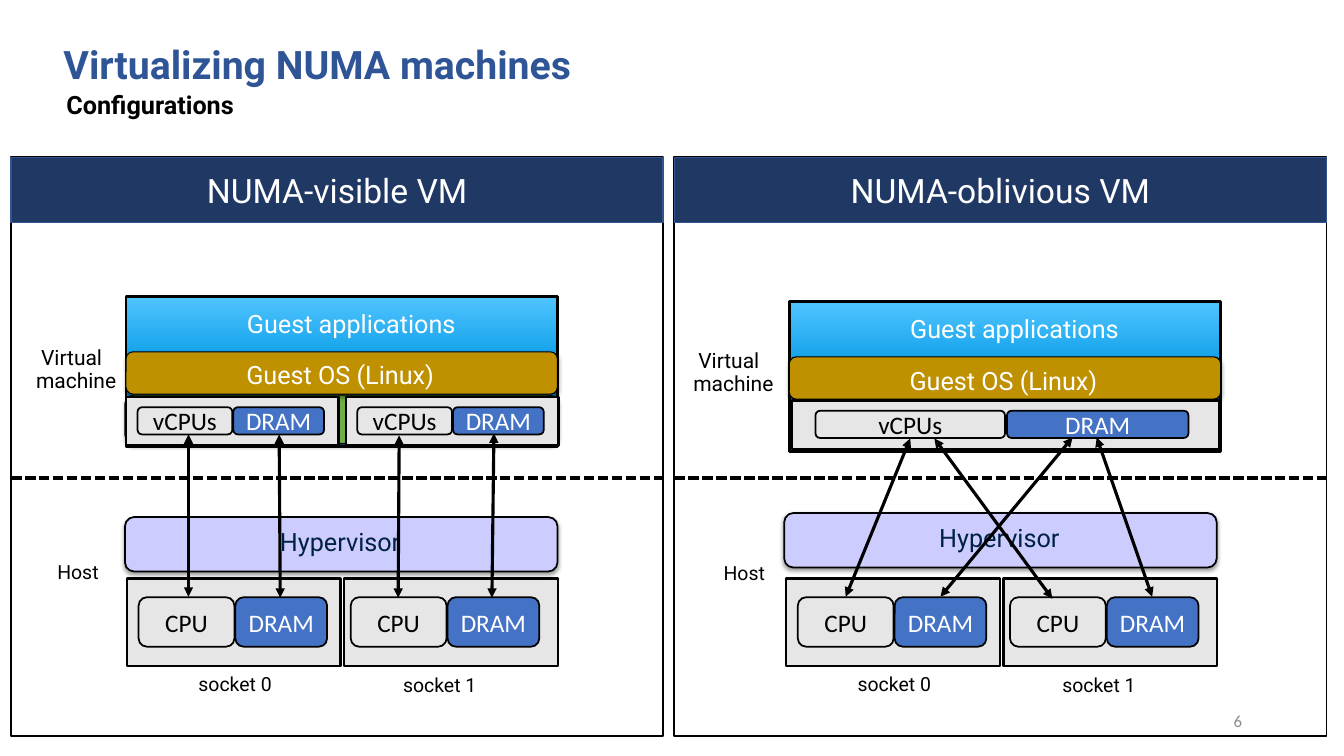
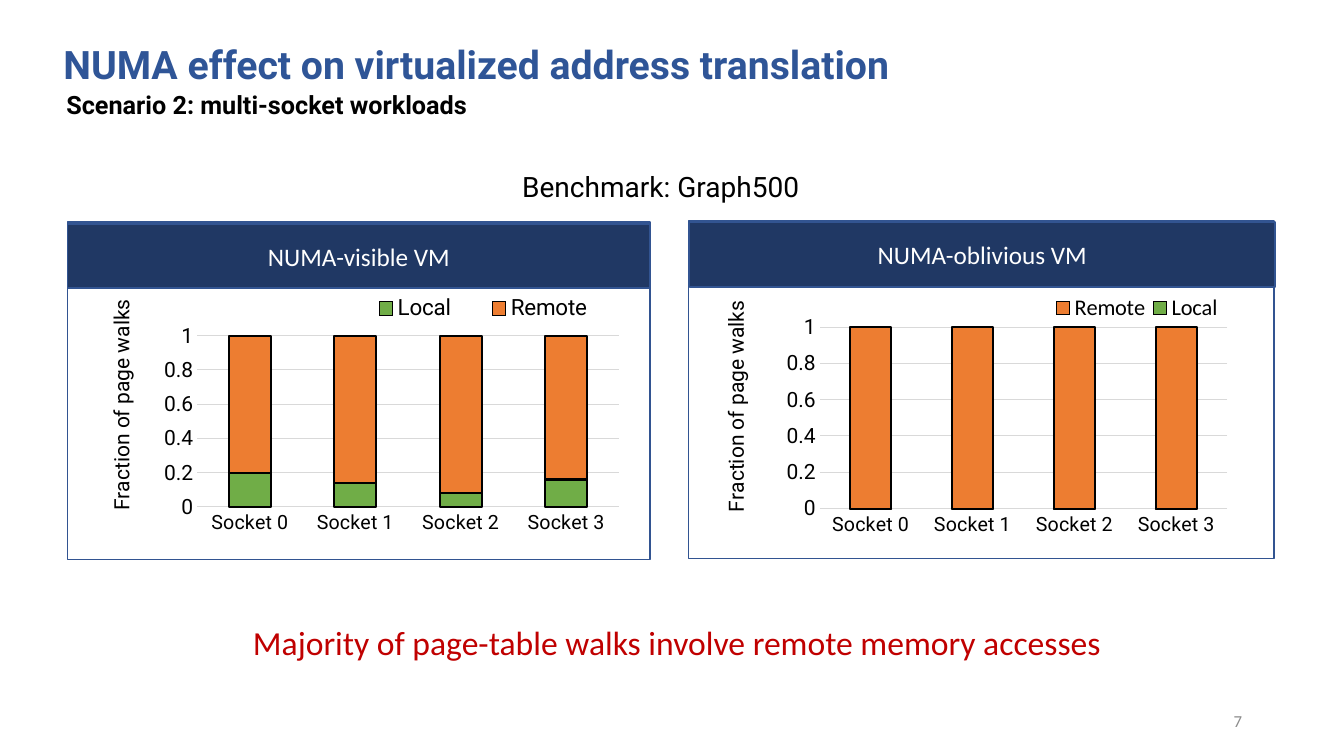
from dataclasses import dataclass
from typing import Optional

from lxml import etree
from pptx import Presentation
from pptx import util as u
from pptx.chart.data import CategoryChartData
from pptx.dml.color import RGBColor
from pptx.enum import chart as ch, dml, shapes, text
from pptx.oxml import parse_xml
from pptx.oxml.ns import nsdecls, qn

# Grid: cells of a tenth of an inch
CELL = u.Inches(0.1)
COLS, ROWS = 133.33, 75

BLACK = RGBColor(0x00, 0x00, 0x00)
WHITE = RGBColor(0xFF, 0xFF, 0xFF)
TITLE_BLUE = RGBColor(0x2F, 0x55, 0x97)
NAVY = RGBColor(0x20, 0x38, 0x64)
EDGE_BLUE = RGBColor(0x32, 0x54, 0x91)
BLUE = RGBColor(0x44, 0x72, 0xC4)
LIGHT_GREY = RGBColor(0xE7, 0xE6, 0xE6)
GRID_GREY = RGBColor(0xD9, 0xD9, 0xD9)
NUMBER_GREY = RGBColor(0x8C, 0x8C, 0x8C)
GREEN = RGBColor(0x70, 0xAD, 0x47)
ORANGE = RGBColor(0xED, 0x7D, 0x31)
GOLD = RGBColor(0xBF, 0x90, 0x00)
LILAC = RGBColor(0xCC, 0xCC, 0xFF)
INK = RGBColor(0x00, 0x21, 0x42)
RED = RGBColor(0xC0, 0x00, 0x00)

RECT = shapes.MSO_SHAPE.RECTANGLE
ROUND = shapes.MSO_SHAPE.ROUNDED_RECTANGLE
LEFT, CENTER, RIGHT = text.PP_ALIGN.LEFT, text.PP_ALIGN.CENTER, text.PP_ALIGN.RIGHT
TOP, MIDDLE, BOTTOM = (text.MSO_ANCHOR.TOP, text.MSO_ANCHOR.MIDDLE,
                       text.MSO_ANCHOR.BOTTOM)

Box = tuple[float, float, float, float]
Segment = tuple[float, float, float, float]


@dataclass(frozen=True)
class Style:
    size: float
    color: RGBColor = BLACK
    font: str = "Roboto"
    bold: bool = False
    align: text.PP_ALIGN = LEFT
    anchor: text.MSO_ANCHOR = TOP
    spacing: float = 1.0
    indent: float = 0


@dataclass(frozen=True)
class VmPanel:
    title: str
    left: float
    guest_top: float
    node_top: float
    node_lefts: tuple[float, ...]
    node_scale: int
    node_width: float
    node_inset: float
    host_left: float
    hypervisor_top: float
    vm_label: tuple[float, float]
    host_label: tuple[float, float]
    arrows: tuple[Segment, ...]


@dataclass(frozen=True)
class ChartPanel:
    title: str
    frame: Box
    header: Box
    chart: Box
    local: tuple[float, ...]
    plot: Box
    legend: Box
    legend_pos: ch.XL_LEGEND_POSITION
    legend_font: str
    axis_title: tuple[float, float]


TITLE = Style(28, TITLE_BLUE, bold=True, anchor=BOTTOM, spacing=0.9)
SUBTITLE = Style(18, bold=True, spacing=0.9)
NUMBER = Style(12, NUMBER_GREY, "Calibri", align=RIGHT, anchor=MIDDLE)
HEADER = Style(24, WHITE, align=CENTER, anchor=MIDDLE)
CHART_HEADER = Style(18, WHITE, "Calibri", align=CENTER, anchor=MIDDLE)
LAYER = Style(18, WHITE, align=CENTER)
HYPERVISOR = Style(18, INK, align=CENTER)
CPU = Style(18, BLACK, "Calibri", align=CENTER, anchor=MIDDLE)
DRAM = Style(18, WHITE, "Calibri", align=CENTER, anchor=MIDDLE)
SMALL = Style(13.9, spacing=0.7)
VM_LABEL = Style(15, spacing=0.9, indent=0.5)


def cells(*values: float) -> list[int]:
    return [int(v * CELL) for v in values]


# Text and shapes
def write(tf, words: str, st: Style, wrap: bool = True) -> None:
    tf.word_wrap = wrap
    tf.vertical_anchor = st.anchor
    p = tf.paragraphs[0]
    p.text = words
    p.alignment = st.align
    p.line_spacing = st.spacing
    if st.indent:
        p._p.get_or_add_pPr().set("indent", str(int(st.indent * CELL)))
    style_font(p.font, st)


def style_font(font, st: Style) -> None:
    font.size, font.name, font.bold = u.Pt(st.size), st.font, st.bold
    font.color.rgb = st.color


def label(s, words: str, box: Box, st: Style, wrap: bool = True):
    sp = s.shapes.add_textbox(*cells(*box))
    write(sp.text_frame, words, st, wrap)
    return sp


def block(s, box: Box, fill: Optional[RGBColor], weight: float, kind=RECT,
          edge: RGBColor = BLACK, words: str = "", st: Style = CPU,
          shadow: bool = False):
    sp = s.shapes.add_shape(kind, *cells(*box))
    sp.shadow.inherit = False
    if fill is None:
        sp.fill.background()
    else:
        sp.fill.solid()
        sp.fill.fore_color.rgb = fill
    sp.line.color.rgb = edge
    sp.line.width = u.Pt(weight)
    if words:
        write(sp.text_frame, words, st)
    if shadow:
        sp._element.spPr.find(qn("a:effectLst")).append(parse_xml(
            f'<a:outerShdw {nsdecls("a")} blurRad="39370" dist="20320" dir="5400000">'
            '<a:srgbClr val="000000"><a:alpha val="38000"/></a:srgbClr></a:outerShdw>'))
    return sp


def sky_gradient(sp) -> None:
    stops = "".join(f'<a:gs pos="{pos}000"><a:srgbClr val="{c}"/></a:gs>'
                    for pos, c in ((0, "006192"), (48, "0097E3"), (100, "50C4FF")))
    solid = sp._element.spPr.find(qn("a:solidFill"))
    solid.getparent().replace(solid, parse_xml(
        f'<a:gradFill {nsdecls("a")}><a:gsLst>{stops}</a:gsLst>'
        '<a:lin ang="16200000" scaled="0"/></a:gradFill>'))


def line(s, ends: Segment, weight: float, arrows: bool = False) -> None:
    cx = s.shapes.add_connector(shapes.MSO_CONNECTOR.STRAIGHT, *cells(*ends))
    cx.line.color.rgb = BLACK
    cx.line.width = u.Pt(weight)
    if arrows:
        ln = cx.line._get_or_add_ln()
        for tag in ("a:headEnd", "a:tailEnd"):
            etree.SubElement(ln, qn(tag)).set("type", "triangle")
    else:
        cx.line.dash_style = dml.MSO_LINE.SQUARE_DOT
    etree.SubElement(cx._element.spPr, qn("a:effectLst"))


def new_slide(prs, title: str, subtitle: str, number: int):
    s = prs.slides.add_slide(prs.slide_layouts[6])
    tf = label(s, title, (6.3, 4.5, 120.3, 4.2), TITLE, wrap=False).text_frame
    tf.margin_left = tf.margin_right = tf.margin_top = tf.margin_bottom = 0
    label(s, subtitle, (5.6, 8.7, 70.8, 5), SUBTITLE)
    label(s, str(number), (94.2, 69.5, 30, 4), NUMBER)
    return s


# Virtual machine diagrams
def cpu_dram(s, name: str, x: float, y: float, height: float, cpu: float,
             dram: float, gap: float) -> None:
    block(s, (x + cpu + gap, y, dram, height), BLUE, 1.25, ROUND, words="DRAM", st=DRAM)
    block(s, (x, y, cpu, height), LIGHT_GREY, 1.25, ROUND, words=name)


def vm_panel(s, v: VmPanel) -> None:
    block(s, (v.left, 15.6, 64.7, 57.4), None, 1.25)
    block(s, (v.left, 15.6, 64.7, 6.5), NAVY, 1, edge=EDGE_BLUE, words=v.title, st=HEADER)

    # Guest layers
    x, y = v.left + 11.4, v.guest_top
    sky_gradient(block(s, (x, y, 42.8, 14.9), BLUE, 1.75))
    if len(v.node_lefts) > 1:
        block(s, (x - 0.1, y + 9.8, 42.9, 4.8), GREEN, 0.75, ROUND, shadow=True)
    block(s, (x, y + 5.5, 42.8, 4.2), GOLD, 0.75, ROUND, shadow=True)
    label(s, "Guest OS (Linux)", (x + 7.4, y + 5.8, 27.7, 3.2), LAYER, wrap=False)
    label(s, "Guest applications", (x + 8.5, y + 0.7, 27.7, 4.2), LAYER, wrap=False)
    for node in v.node_lefts:
        block(s, (node, v.node_top, v.node_width, 4.8), LIGHT_GREY, 1.75)
        cpu_dram(s, "vCPUs", node + v.node_inset, v.node_top + 1, 2.7,
                 9.4 * v.node_scale, 9 * v.node_scale, 0.1 * v.node_scale)

    # Host layers
    x, y = v.host_left, v.hypervisor_top
    block(s, (x - 0.2, y, 42.9, 5.4), LILAC, 1.25, ROUND, shadow=True)
    label(s, "Hypervisor", (x + 7.3, y + 0.4, 27.7, 3.6), HYPERVISOR, wrap=False)
    for i in range(2):
        block(s, (x + 21.55 * i, 57.4, 21.2, 8.7), LIGHT_GREY, 1.75)
        cpu_dram(s, "CPU", x + 1.15 + 21.05 * i, 59.25, 4.9, 9.5, 9.1, 0.1)
        label(s, f"socket {i}", (x + 6.1 + 20.3 * i, 66.8 + 0.1 * i, 11.4, 2.8), SMALL)

    label(s, "Host", (*v.host_label, 11.4, 2.8), SMALL)
    label(s, "Virtual machine", (*v.vm_label, 14.4, 10.6), VM_LABEL)
    line(s, (v.left, 47.4, v.left + 64.7, 47.4), 2.5)
    for ends in v.arrows:
        line(s, ends, 2.25, arrows=True)


# Charts
def place(parent, after: Optional[str], x: float, y: float,
          w: float = 0, h: float = 0, inner: bool = False) -> None:
    for old in parent.findall(qn("c:layout")):
        parent.remove(old)
    layout = etree.Element(qn("c:layout"))
    manual = etree.SubElement(layout, qn("c:manualLayout"))
    values = [("layoutTarget", "inner")] if inner else []
    values += [("xMode", "edge"), ("yMode", "edge"), ("x", x), ("y", y)]
    values += [("w", w), ("h", h)] if w else []
    for tag, val in values:
        etree.SubElement(manual, qn(f"c:{tag}")).set("val", str(val))
    before = parent.find(qn(after)) if after else None
    parent.insert(0 if before is None else parent.index(before) + 1, layout)


def chart_panel(s, c: ChartPanel) -> None:
    data = CategoryChartData()
    data.categories = [f"Socket {i}" for i in range(4)]
    data.add_series("Local", c.local)
    data.add_series("Remote", [round(1 - v, 2) for v in c.local])
    chart = s.shapes.add_chart(ch.XL_CHART_TYPE.COLUMN_STACKED,
                               *cells(*c.chart), data).chart
    chart.has_title = False
    style_font(chart.font, Style(10, font="Calibri"))

    plot = chart.plots[0]
    plot.gap_width, plot.overlap, plot.vary_by_categories = 150, 100, False
    for series, color in zip(plot.series, (GREEN, ORANGE)):
        series.format.fill.solid()
        series.format.fill.fore_color.rgb = color
        series.format.line.color.rgb = BLACK
        series.format.line.width = u.Pt(1.5)
    place(chart._chartSpace.chart.plotArea, None, *c.plot, inner=True)

    cat, val = chart.category_axis, chart.value_axis
    for axis, size in ((cat, 14), (val, 15)):
        axis.major_tick_mark = axis.minor_tick_mark = ch.XL_TICK_MARK.NONE
        style_font(axis.tick_labels.font, Style(size))
    val.minimum_scale, val.maximum_scale, val.major_unit = 0, 1, 0.2
    val.format.line.fill.background()
    for ln in (cat.format.line, val.major_gridlines.format.line):
        ln.color.rgb = GRID_GREY
        ln.width = u.Pt(0.75)
    tf = val.axis_title.text_frame
    tf.text = "Fraction of page walks"
    tf._txBody.bodyPr.set("rot", "-5400000")
    style_font(tf.paragraphs[0].font, Style(15))
    place(val.axis_title._element, "c:tx", *c.axis_title)

    chart.has_legend = True
    chart.legend.position = c.legend_pos
    chart.legend.include_in_layout = False
    style_font(chart.legend.font, Style(16, font=c.legend_font))
    place(chart.legend._element, "c:legendPos", *c.legend)

    block(s, c.frame, None, 1.25, edge=EDGE_BLUE)
    block(s, c.header, NAVY, 1.25, edge=EDGE_BLUE, words=c.title, st=CHART_HEADER)


VM_PANELS = (
    VmPanel("NUMA-visible VM", 1.1, 29.4, 39.4, (12.5, 34.3), 1, 21.1, 1.15,
            12.6, 51.3, (2.6, 34), (4.7, 55.7),
            ((18.7, 43.1, 18.7, 59.2), (27.7, 43.1, 27.8, 59.3),
             (39.6, 43.2, 39.5, 59.3), (49, 43, 48.8, 59.3))),
    VmPanel("NUMA-oblivious VM", 66.9, 29.9, 39.75, (78.6,), 2, 42.4, 2.3,
            78, 50.9, (67.8, 34.3), (70.8, 55.8),
            ((90.3, 43.5, 83.9, 59.2), (92.7, 43.5, 104.4, 59.4),
             (106.4, 43.4, 93.3, 59.2), (108.8, 43.4, 114.3, 59.2))),
)

CHART_PANELS = (
    ChartPanel("NUMA-visible VM", (6.7, 22, 57.8, 33.5), (6.7, 22.2, 57.8, 6.4),
               (5.7, 28.6, 59.5, 36.3), (0.2, 0.14, 0.08, 0.16),
               (0.233, 0.13, 0.703, 0.468), (0.48, 0.01, 0.46, 0.09),
               ch.XL_LEGEND_POSITION.BOTTOM, "Roboto", (0.076, 0.02)),
    ChartPanel("NUMA-oblivious VM", (68.3, 21.9, 58.1, 33.5), (68.4, 22, 58.1, 6.5),
               (66.5, 26.9, 58.6, 36.3), (0, 0, 0, 0),
               (0.253, 0.153, 0.69, 0.496), (0.64, 0.055, 0.3, 0.09),
               ch.XL_LEGEND_POSITION.RIGHT, "Calibri", (0.08, 0.07)),
)


def main() -> None:
    prs = Presentation()
    prs.slide_width, prs.slide_height = cells(COLS, ROWS)

    s = new_slide(prs, "Virtualizing NUMA machines", "Configurations", 6)
    for panel in VM_PANELS:
        vm_panel(s, panel)

    s = new_slide(prs, "NUMA effect on virtualized address translation",
                  "Scenario 2: multi-socket workloads", 7)
    for panel in CHART_PANELS:
        chart_panel(s, panel)
    label(s, "Benchmark: Graph500", (40, 16.3, 51.1, 4.4), Style(20, align=CENTER))
    label(s, "Majority of page-table walks involve remote memory accesses",
          (23.4, 61.2, 87.5, 5), Style(24, RED, "Calibri", align=CENTER))
    prs.save("out.pptx")


if __name__ == "__main__":
    main()
